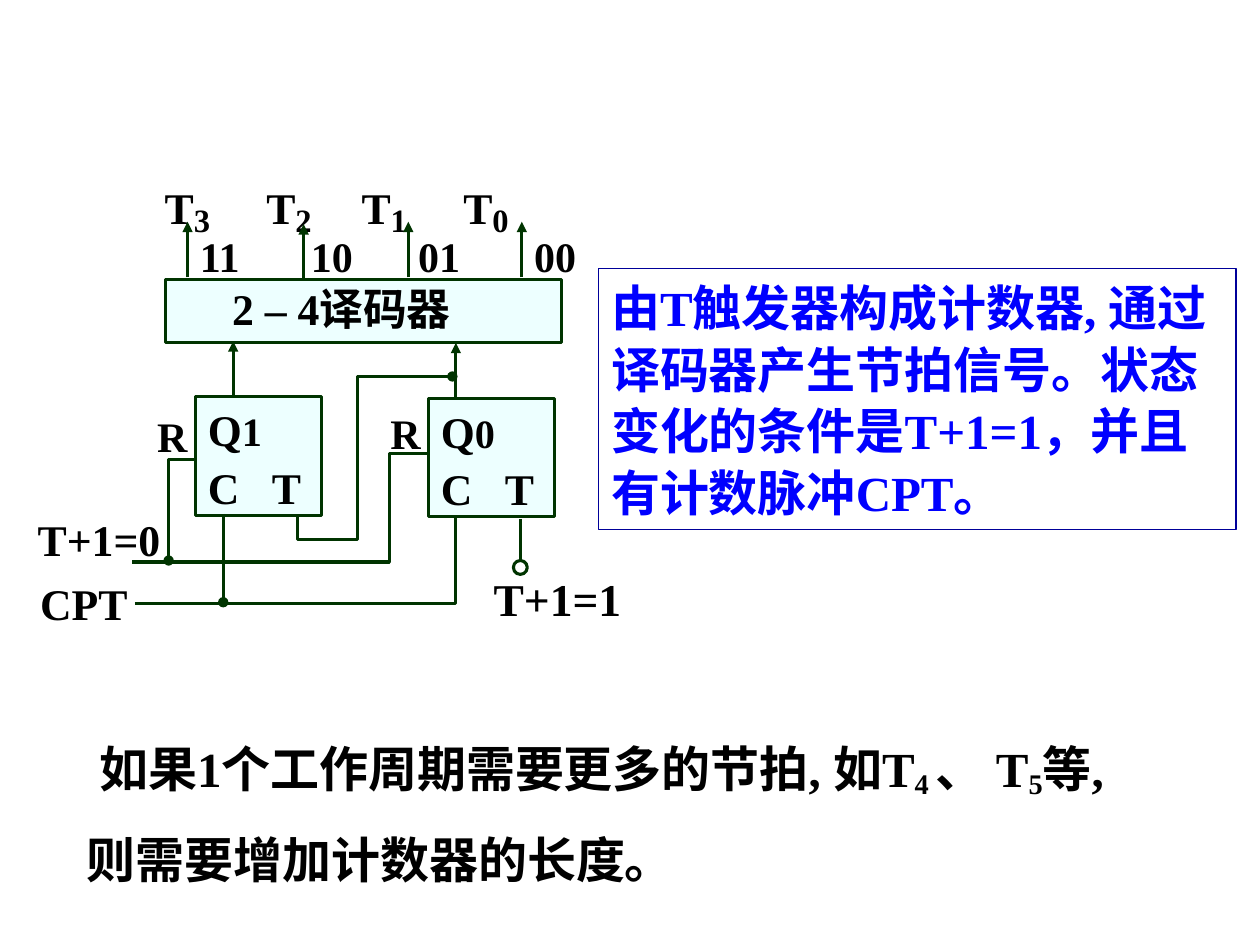
from dataclasses import dataclass

from lxml import etree
from pptx import Presentation
from pptx.dml.color import RGBColor
from pptx.enum.shapes import MSO_CONNECTOR, MSO_SHAPE
from pptx.enum.text import MSO_ANCHOR, PP_ALIGN
from pptx.oxml.ns import qn
from pptx.slide import Slide
from pptx.util import Cm, Pt

BLACK = RGBColor(0x00, 0x00, 0x00)
BLUE = RGBColor(0x00, 0x00, 0xFF)
NAVY = RGBColor(0x00, 0x00, 0x99)
GREEN = RGBColor(0x00, 0x34, 0x00)
PALE = RGBColor(0xED, 0xFF, 0xFF)

RECT = MSO_SHAPE.RECTANGLE
OVAL = MSO_SHAPE.OVAL
STRAIGHT = MSO_CONNECTOR.STRAIGHT
TOP = MSO_ANCHOR.TOP
LEFT = PP_ALIGN.LEFT
CENTER = PP_ALIGN.CENTER

SUBSCRIPT = -14000


@dataclass
class CircuitSlide:
    slide: Slide
    font: str = "Times New Roman"
    line_width: float = 1.75

    def add_runs(self, paragraph, runs, color=BLACK, spacing=1.0, align=LEFT,
                 indent=0, tabs=()):
        """Fill a paragraph with (text, size, baseline) runs; indent and tabs in cm."""
        properties = paragraph._p.get_or_add_pPr()
        if indent:
            properties.set("indent", str(Cm(indent)))
        paragraph.alignment = align
        paragraph.line_spacing = spacing
        if tabs:
            stops = etree.SubElement(properties, qn("a:tabLst"))
            for position in tabs:
                etree.SubElement(stops, qn("a:tab"), pos=str(Cm(position)), algn="l")
        for text, size, baseline in runs:
            run = paragraph.add_run()
            run.text = text
            run.font.name = self.font
            run.font.size = Pt(size)
            run.font.bold = True
            run.font.color.rgb = color
            if baseline:
                run._r.get_or_add_rPr().set("baseline", str(baseline))

    def label(self, x, y, width, height, runs, wrap=True, **style):
        box = self.slide.shapes.add_textbox(Cm(x), Cm(y), Cm(width), Cm(height))
        box.text_frame.word_wrap = wrap
        self.add_runs(box.text_frame.paragraphs[0], runs, **style)

    def block(self, x, y, width, height, kind=RECT, fill=None, color=GREEN, weight=None):
        block = self.slide.shapes.add_shape(kind, Cm(x), Cm(y), Cm(width), Cm(height))
        block.shadow.inherit = False
        if fill is None:
            block.fill.background()
        else:
            block.fill.solid()
            block.fill.fore_color.rgb = fill
        block.line.color.rgb = color
        block.line.width = Pt(weight or self.line_width)
        block.text_frame.word_wrap = True
        block.text_frame.vertical_anchor = TOP
        return block

    def flip_flop(self, x, y, number):
        frame = self.block(x, y, 2.54, 2.39, fill=PALE).text_frame
        self.add_runs(frame.paragraphs[0], [("Q", 25, 0), (number, 23, 0)])
        inputs = frame.add_paragraph()
        inputs.space_before = Pt(3)
        self.add_runs(inputs, [("C\tT", 25, 0)], tabs=[1.29])

    def style_line(self, line, head, tail):
        line.color.rgb = GREEN
        line.width = Pt(self.line_width)
        for tag, end in (("a:headEnd", head), ("a:tailEnd", tail)):
            if end:
                etree.SubElement(line._get_or_add_ln(), qn(tag), type=end)

    def wire(self, x1, y1, x2, y2, tail=None):
        wire = self.slide.shapes.add_connector(STRAIGHT, Cm(x1), Cm(y1), Cm(x2), Cm(y2))
        self.style_line(wire.line, None, tail)
        etree.SubElement(wire._element.spPr, qn("a:effectLst"))
        return wire

    def bent_wire(self, points, head=None, tail=None):
        start, *corners = [(Cm(x), Cm(y)) for x, y in points]
        builder = self.slide.shapes.build_freeform(*start)
        builder.add_line_segments(corners, close=False)
        wire = builder.convert_to_shape()
        wire.fill.background()
        self.style_line(wire.line, head, tail)
        wire.shadow.inherit = False


def draw_text(page):
    note = page.block(12.07, 5.41, 12.85, 5.26, color=NAVY, weight=0.75)
    page.add_runs(
        note.text_frame.paragraphs[0],
        [("由T触发器构成计数器, 通过译码器产生节拍信号。"
          "状态变化的条件是T+1=1，并且有计数脉冲CPT。", 28, 0)],
        color=BLUE, spacing=1.05)
    page.label(
        1.5, 14.15, 22.12, 3.63,
        [("如果1个工作周期需要更多的节拍, 如T", 28, 0), ("4 ", 28, SUBSCRIPT),
         ("、 T", 28, 0), ("5", 28, SUBSCRIPT),
         ("等, 则需要增加计数器的长度。", 28, 0)],
        spacing=1.5, indent=0.25)


def draw_circuit(page):
    page.label(0.14, 11.51, 3.1, 1.32, [("CPT", 25, 0)], align=CENTER)
    page.label(0.51, 10.21, 3.1, 1.32, [("T+1=0", 25, 0)])
    page.flip_flop(8.64, 8.03, "0")
    decoder = page.block(3.33, 5.64, 8, 1.27, fill=PALE)
    page.add_runs(decoder.text_frame.paragraphs[0], [("2 – 4译码器", 25, 0)],
                  spacing=0.95, indent=1.1)

    page.wire(9.19, 8.03, 9.19, 6.91, tail="triangle")
    page.wire(4.7, 8, 4.7, 6.88, tail="triangle")
    clock = [(2.72, 12.17), (9.19, 12.17), (9.19, 10.39)]
    reset = [(8.61, 9.14), (7.85, 9.14), (7.85, 11.33), (2.67, 11.33)]
    reset_branch = [(4.01, 9.27), (3.4, 9.27), (3.4, 11.3)]
    carry = [(9.12, 7.59), (7.21, 7.59), (7.21, 10.87), (5.99, 10.87), (5.99, 10.03)]
    page.bent_wire(clock)
    page.bent_wire(reset)
    page.bent_wire(reset_branch, tail="oval")
    page.bent_wire(carry, head="oval")
    page.flip_flop(3.94, 8, "1")

    beats = []
    for number in "3210":
        beats += [("T" if number == "3" else "\tT", 25, 0), (number, 32, SUBSCRIPT)]
    page.label(3.07, 3.28, 8.76, 1.32, beats, tabs=[2.05, 3.97, 6.02])
    outputs = [(3.78, 5.59, 3.78, "11"), (6.12, 5.64, 6.02, "10"),
               (8.23, 5.59, 8.18, "01"), (10.52, 5.59, 10.52, "00")]
    for x, bottom, code_x, code in outputs:
        page.wire(x, bottom, x, bottom - 1.12, tail="triangle")
        page.label(code_x, 4.52, 1.35, 1.27, [(code, 24, 0)], wrap=False)

    page.wire(4.5, 10.36, 4.5, 12.14, tail="oval")
    terminal = page.block(10.35, 11.3, 0.28, 0.28, kind=OVAL)
    page.wire(10.49, 10.46, 10.49, 11.3).end_connect(terminal, 0)
    page.label(9.7, 11.38, 3.12, 1.37, [("T+1=1", 26, 0)], wrap=False)
    for x, y in ((2.92, 8.15), (7.62, 8.1)):
        page.label(x, y, 1.24, 1.27, [("R", 24, 0)])


def main():
    deck = Presentation()
    deck.slide_width = Cm(25.4)
    deck.slide_height = Cm(19.05)
    page = CircuitSlide(deck.slides.add_slide(deck.slide_layouts[6]))
    draw_text(page)
    draw_circuit(page)
    deck.save("out.pptx")


if __name__ == "__main__":
    main()
